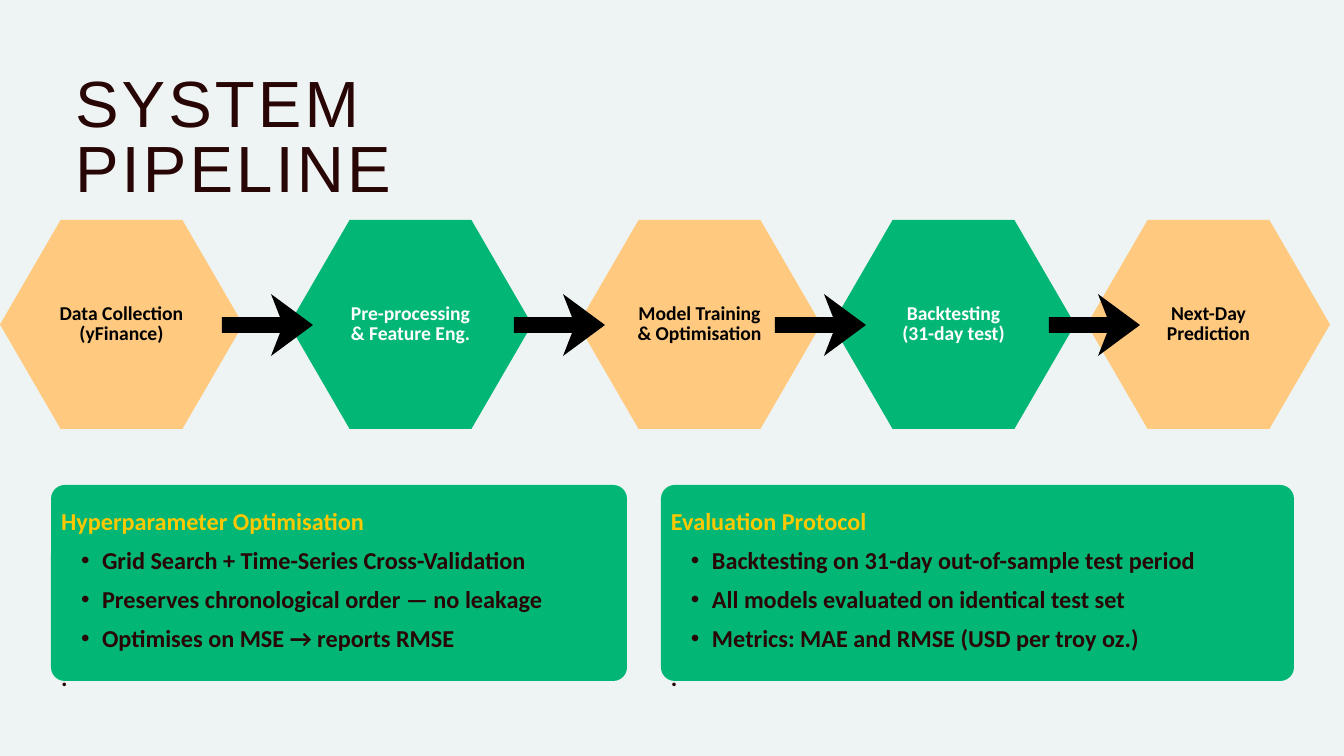
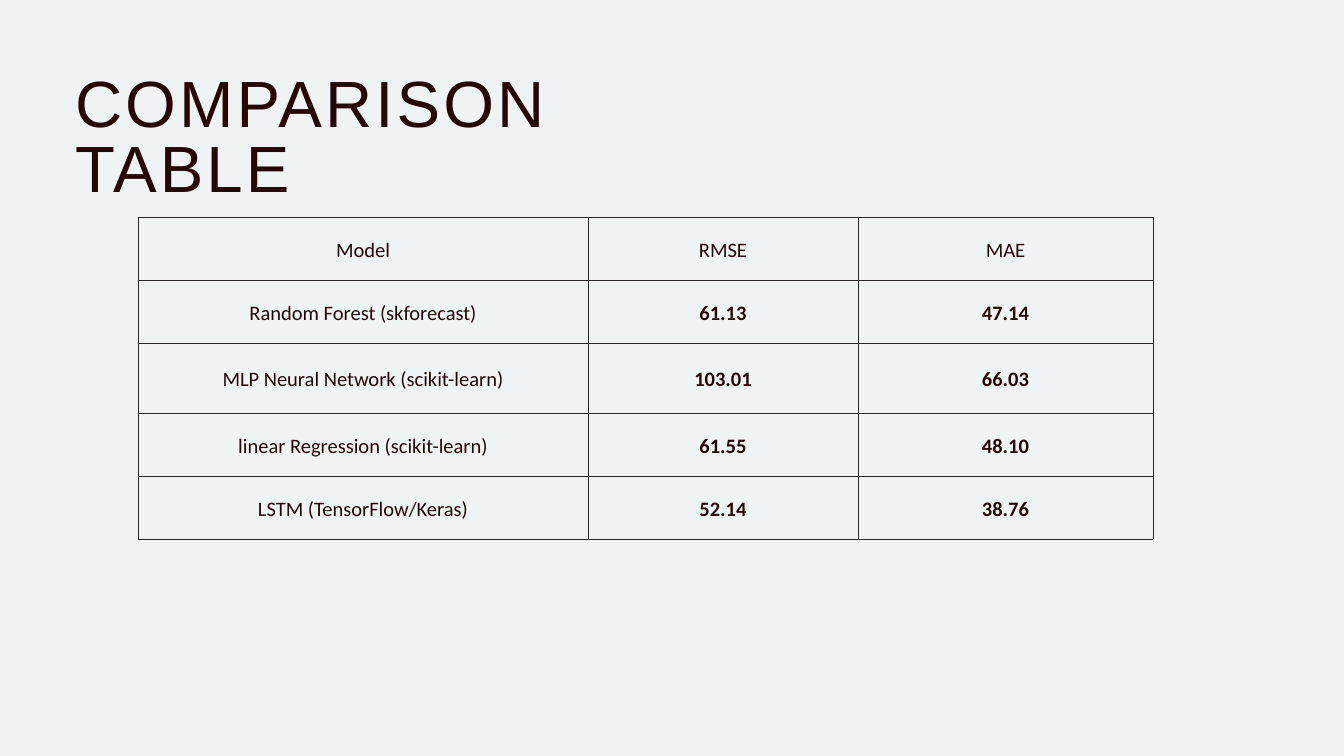
from lxml.etree import SubElement
from pptx import Presentation
from pptx.dml.color import RGBColor
from pptx.enum.shapes import MSO_SHAPE as Shape
from pptx.enum.text import MSO_ANCHOR as Anchor, PP_ALIGN as Align
from pptx.oxml.ns import qn
from pptx.util import Pt

PX = 914400 / 67.2
COLORS = {
    "background": "EEF4F3", "ink": "290606", "green": "02B676",
    "peach": "FFC97F", "yellow": "FEC801", "black": "000000",
    "white": "FFFFFF", "border": "292828",
}
BODY_FONT, TITLE_FONT = "Calibri", "Arial"

STEPS = [
    (0, ["Data Collection", "(yFinance)"]),
    (289, ["Pre-processing", "& Feature Eng."]),
    (578, ["Model Training", "& Optimisation"]),
    (832, ["Backtesting", "(31-day test)"]),
    (1087, ["Next-Day", "Prediction"]),
]
ARROW_LEFTS = [222, 514, 775, 1049]
ARROW_OUTLINE = [(58, 39), (0, 39), (0, 23), (58, 23), (49, 0), (91, 31), (49, 62)]

PANELS = [
    ((51, 485, 576, 196), "Hyperparameter Optimisation", [
        "Grid Search + Time-Series Cross-Validation",
        "Preserves chronological order — no leakage",
        "Optimises on MSE → reports RMSE"]),
    ((661, 485, 633, 196), "Evaluation Protocol", [
        "Backtesting on 31-day out-of-sample test period",
        "All models evaluated on identical test set",
        "Metrics: MAE and RMSE (USD per troy oz.)"]),
]

RESULTS = [
    ("Model", "RMSE", "MAE"),
    ("Random Forest (skforecast)", "61.13", "47.14"),
    ("MLP Neural Network (scikit-learn)", "103.01", "66.03"),
    ("linear Regression (scikit-learn)", "61.55", "48.10"),
    ("LSTM (TensorFlow/Keras)", "52.14", "38.76"),
]
COLUMN_WIDTHS = [450, 270, 295]
ROW_HEIGHTS = [63, 63, 70, 63, 63]


def px(length):
    return round(length * PX)


def emu(box):
    return [px(length) for length in box]


def rgb(name):
    return RGBColor.from_string(COLORS[name])


def set_margins(target, margin):
    target.margin_left = target.margin_right = px(margin)
    target.margin_top = target.margin_bottom = px(margin)


def paint(shape, color):
    shape.shadow.inherit = False
    shape.fill.solid()
    shape.fill.fore_color.rgb = rgb(color)
    shape.line.fill.background()


def write(frame, lines, size, spacing, color, bold=False, align=Align.LEFT,
          font_name=BODY_FONT):
    """Fill a text frame with one paragraph per line."""
    for index, line in enumerate(lines):
        paragraph = frame.paragraphs[0] if index == 0 else frame.add_paragraph()
        paragraph.text = line
        style(paragraph, size, spacing, color, bold, align, font_name)


def style(paragraph, size, spacing, color, bold, align=Align.LEFT,
          font_name=BODY_FONT, bullet=False):
    paragraph.alignment = align
    paragraph.line_spacing = Pt(spacing)
    if bullet:
        paragraph.level = 1
        properties = paragraph._p.get_or_add_pPr()
        properties.set("marL", str(px(41)))
        properties.set("indent", str(px(-21)))
        SubElement(properties, qn("a:buFont"), typeface="Arial")
        SubElement(properties, qn("a:buChar"), char="•")
    font = paragraph.font
    font.name, font.size, font.bold = font_name, Pt(size), bold
    font.color.rgb = rgb(color)


def add_text_frame(slide, box):
    frame = slide.shapes.add_textbox(*emu(box)).text_frame
    frame.word_wrap = True
    set_margins(frame, 0)
    return frame


def add_titled_slide(presentation, title):
    slide = presentation.slides.add_slide(presentation.slide_layouts[6])
    slide.background.fill.solid()
    slide.background.fill.fore_color.rgb = rgb("background")
    frame = add_text_frame(slide, (75, 75, 597, 131))
    write(frame, [title], 70, 70, "ink", font_name=TITLE_FONT)
    frame.paragraphs[0].runs[0]._r.get_or_add_rPr().set("spc", "340")
    return slide


def add_step(slide, box, lines, fill, color):
    hexagon = slide.shapes.add_shape(Shape.HEXAGON, *emu(box))
    hexagon.adjustments[0] = 0.29
    paint(hexagon, fill)
    frame = hexagon.text_frame
    frame.word_wrap = False
    frame.vertical_anchor = Anchor.MIDDLE
    set_margins(frame, 0)
    write(frame, lines, 21, 21, color, True, Align.CENTER)


def add_arrow(slide, left, top):
    points = [(left + x, top + y) for x, y in ARROW_OUTLINE]
    builder = slide.shapes.build_freeform(*points[0], scale=PX)
    builder.add_line_segments(points[1:], close=True)
    paint(builder.convert_to_shape(), "black")


def add_pipeline(slide, top, width, height):
    for index, (left, lines) in enumerate(STEPS):
        fill, color = [("peach", "black"), ("green", "white")][index % 2]
        add_step(slide, (left, top, width, height), lines, fill, color)
    for left in ARROW_LEFTS:
        add_arrow(slide, left, top + 74)


def add_panel(slide, box, heading, points):
    left, top, width, height = box
    panel = slide.shapes.add_shape(Shape.ROUNDED_RECTANGLE, *emu(box))
    panel.adjustments[0] = 0.07
    paint(panel, "green")
    frame = add_text_frame(slide, (left + 10, top + 12, width - 10, height - 3))
    write(frame, [heading], 26, 41.6, "yellow", True)
    for text in points + ["."]:
        paragraph = frame.add_paragraph()
        paragraph.text = text
        style(paragraph, 26, 41.6, "ink", True, bullet=text in points)


def add_borders(cell):
    properties = cell._tc.get_or_add_tcPr()
    for side in ("lnL", "lnR", "lnT", "lnB"):
        line = SubElement(properties, qn(f"a:{side}"), w=str(Pt(0.75)))
        fill = SubElement(line, qn("a:solidFill"))
        SubElement(fill, qn("a:srgbClr"), val=COLORS["border"])


def add_results_table(slide, left, top):
    box = (left, top, sum(COLUMN_WIDTHS), sum(ROW_HEIGHTS))
    table = slide.shapes.add_table(len(RESULTS), len(COLUMN_WIDTHS), *emu(box)).table
    table.first_row = table.horz_banding = False
    for column, width in zip(table.columns, COLUMN_WIDTHS):
        column.width = px(width)
    for row, height in zip(table.rows, ROW_HEIGHTS):
        row.height = px(height)
    for row_index, values in enumerate(RESULTS):
        for column_index, value in enumerate(values):
            cell = table.cell(row_index, column_index)
            add_borders(cell)
            cell.fill.background()
            cell.vertical_anchor = Anchor.MIDDLE
            set_margins(cell, 14)
            is_score = row_index > 0 and column_index > 0
            write(cell.text_frame, [value], 22, 30.8, "ink", is_score, Align.CENTER)


def build_pipeline_slide(presentation):
    slide = add_titled_slide(presentation, "SYSTEM PIPELINE")
    add_pipeline(slide, 220, 243, 209)
    for box, heading, points in PANELS:
        add_panel(slide, box, heading, points)


def build_comparison_slide(presentation):
    slide = add_titled_slide(presentation, "COMPARISON TABLE")
    add_results_table(slide, 138, 217)


def main():
    presentation = Presentation()
    presentation.slide_width, presentation.slide_height = px(1344), px(756)
    build_pipeline_slide(presentation)
    build_comparison_slide(presentation)
    presentation.save("out.pptx")


if __name__ == "__main__":
    main()
